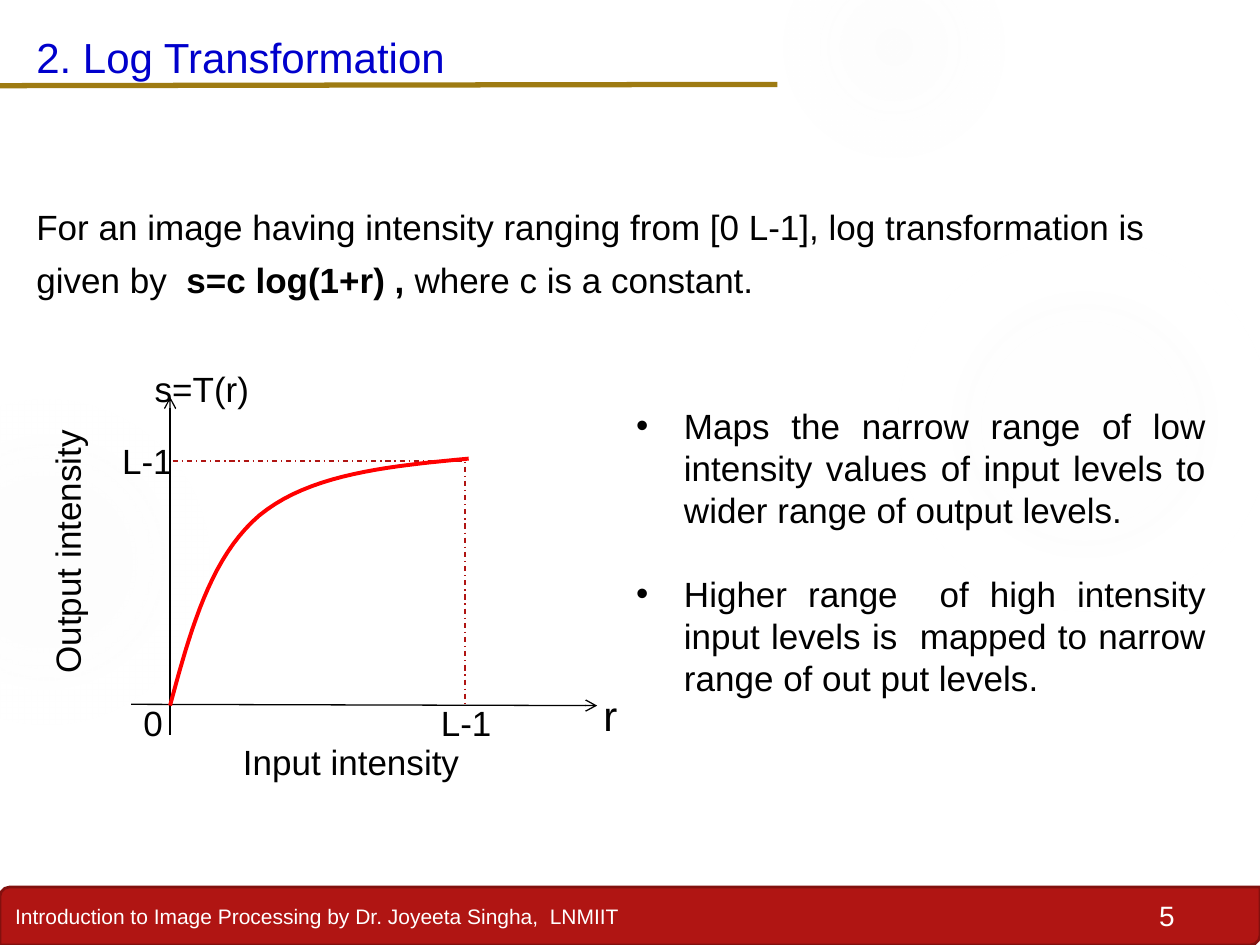
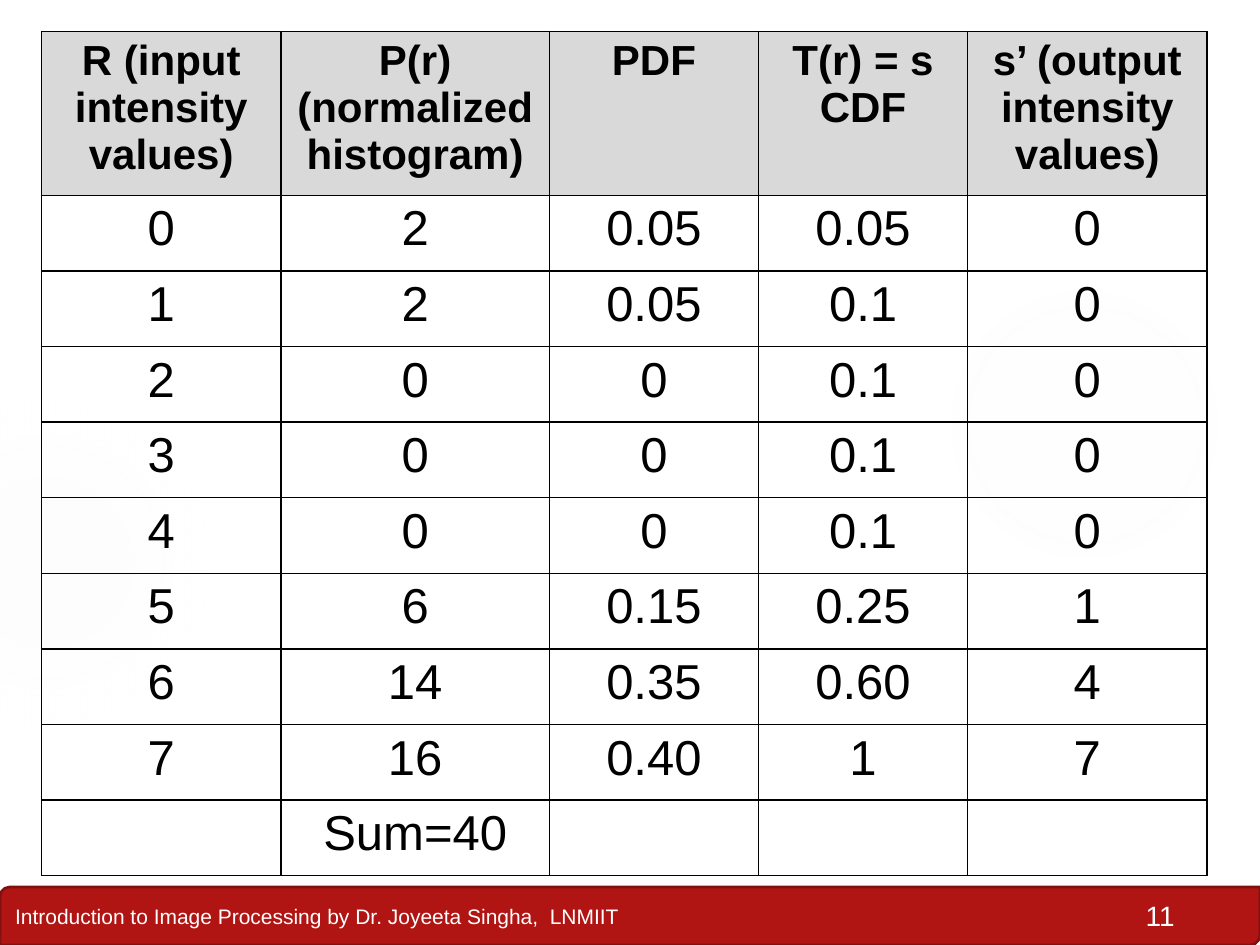
from lxml import etree
from pptx import Presentation
from pptx.dml.color import RGBColor
from pptx.enum.dml import MSO_LINE
from pptx.enum.shapes import MSO_CONNECTOR, MSO_SHAPE
from pptx.enum.text import MSO_ANCHOR, PP_ALIGN
from pptx.oxml.ns import qn
from pptx.util import Inches, Pt

FONT = "Arial"
WHITE = RGBColor(0xFF, 0xFF, 0xFF)
BLACK = RGBColor(0x00, 0x00, 0x00)
BRICK = RGBColor(0xB0, 0x15, 0x13)
DARK_BRICK = RGBColor(0x82, 0x10, 0x0E)
GOLD = RGBColor(0x9E, 0x7B, 0x12)
TITLE_BLUE = RGBColor(0x00, 0x00, 0xCC)
CURVE_RED = RGBColor(0xFF, 0x00, 0x00)
HEADER_GREY = RGBColor(0xD9, 0xD9, 0xD9)
GLOW_GREY = RGBColor(0xF3, 0xF3, 0xF3)

LEFT, CENTER, RIGHT = PP_ALIGN.LEFT, PP_ALIGN.CENTER, PP_ALIGN.RIGHT
JUSTIFY = PP_ALIGN.JUSTIFY
MIDDLE = MSO_ANCHOR.MIDDLE
STRAIGHT = MSO_CONNECTOR.STRAIGHT
BAND, OVAL = MSO_SHAPE.ROUND_2_DIAG_RECTANGLE, MSO_SHAPE.OVAL
DASH_DOT = MSO_LINE.DASH_DOT

FOOTER = "Introduction to Image Processing by Dr. Joyeeta Singha,  LNMIIT"
SIDE_GLOWS = [
    (7.07, 1.83, 3.08, ((0, 7), (36, 6), (69, 0))),
    (-0.92, 3.17, 2.58, ((0, 8), (36, 8), (72, 0))),
]
TOP_GLOW = (6.22, -0.5, 1.75, ((0, 14), (36, 7), (73, 0)))

TITLE = "2. Log Transformation"
DEFINITION = [
    ("For an image having intensity ranging from [0 L-1], "
     "log transformation is given by  ", False),
    ("s=c log(1+r) , ", True),
    ("where c is a constant.", False),
]
REMARKS = [
    "Maps the narrow range of low intensity values of input levels to "
    "wider range of output levels.",
    "Higher range  of high intensity input levels is  mapped to narrow "
    "range of out put levels.",
]
PLOT_LABELS = [
    ("r", 4.69, 5.42, 0.31, 24, 0),
    ("0", 1.04, 5.52, 0.36, 20, 0),
    ("L-1", 3.4, 5.52, 0.61, 20, 0),
    ("L-1", 0.87, 3.44, 0.61, 20, 0),
    ("s=T(r)", 1.13, 2.87, 0.96, 20, 0),
    ("Input intensity", 1.83, 5.83, 2.01, 20, 0),
    ("Output intensity", -0.54, 4.15, 2.15, 20, 270),
]
AXES = [((1.35, 5.83), (1.35, 3.15)), ((1.04, 5.59), (4.74, 5.6))]
GUIDES = [(1.37, 3.66), (3.69, 3.66), (3.69, 5.61)]
LOG_CURVE = [
    ((1.35, 5.6), (1.51, 5.01), (1.67, 4.42), (2.06, 4.09)),
    ((2.06, 4.09), (2.46, 3.76), (3.09, 3.7), (3.72, 3.64)),
]
CURVE_STEPS = 20

COLUMN_WIDTHS = (1.9, 2.13, 1.66, 1.66, 1.9)
HEADER_HEIGHT, ROW_HEIGHT = 1.3, 0.6
HISTOGRAM = [
    ("R (input intensity values)", "P(r) (normalized histogram)", "PDF",
     "T(r) = s\nCDF", "s’ (output intensity values)"),
    ("0", "2", "0.05", "0.05", "0"),
    ("1", "2", "0.05", "0.1", "0"),
    ("2", "0", "0", "0.1", "0"),
    ("3", "0", "0", "0.1", "0"),
    ("4", "0", "0", "0.1", "0"),
    ("5", "6", "0.15", "0.25", "1"),
    ("6", "14", "0.35", "0.60", "4"),
    ("7", "16", "0.40", "1", "7"),
    ("", "Sum=40", "", "", ""),
]


def add_span(para, text, size, color=BLACK, bold=False):
    span = para.add_run()
    span.text = text
    span.font.name = FONT
    span.font.size = Pt(size)
    span.font.bold = bold
    span.font.color.rgb = color


def add_box(page, left, top, width, height, wrap=True):
    box = page.shapes.add_textbox(*map(Inches, (left, top, width, height)))
    box.text_frame.word_wrap = wrap
    return box


def add_label(page, text, left, top, width, height, size,
              color=BLACK, align=LEFT):
    box = add_box(page, left, top, width, height, wrap=False)
    para = box.text_frame.paragraphs[0]
    para.alignment = align
    add_span(para, text, size, color)
    return box


def set_line(shape, color, width):
    shape.line.color.rgb = color
    shape.line.width = Pt(width)


def add_line(page, start, end, color, width, arrow=False):
    line = page.shapes.add_connector(
        STRAIGHT, *map(Inches, (*start, *end)))
    set_line(line, color, width)
    properties = line.element.find(qn("p:spPr"))
    if arrow:
        outline = properties.find(qn("a:ln"))
        etree.SubElement(outline, qn("a:tailEnd"), type="arrow")
    etree.SubElement(properties, qn("a:effectLst"))


def add_outline(page, points, color, width):
    corners = [(Inches(x), Inches(y)) for x, y in points]
    builder = page.shapes.build_freeform(*corners[0])
    builder.add_line_segments(corners[1:], close=False)
    outline = builder.convert_to_shape()
    outline.shadow.inherit = False
    outline.fill.background()
    set_line(outline, color, width)
    return outline


def add_glow(page, left, top, size, stops):
    glow = page.shapes.add_shape(
        OVAL, *map(Inches, (left, top, size, size)))
    glow.shadow.inherit = False
    glow.line.fill.background()
    glow.fill.background()
    properties = glow.element.find(qn("p:spPr"))
    gradient = etree.Element(qn("a:gradFill"))
    stop_list = etree.SubElement(gradient, qn("a:gsLst"))
    for position, opacity in stops:
        stop = etree.SubElement(stop_list, qn("a:gs"), pos=str(position * 1000))
        tint = etree.SubElement(stop, qn("a:srgbClr"), val=str(GLOW_GREY))
        etree.SubElement(tint, qn("a:alpha"), val=str(opacity * 1000))
    circle = etree.SubElement(gradient, qn("a:path"), path="circle")
    etree.SubElement(circle, qn("a:fillToRect"),
                     {side: "50000" for side in "ltrb"})
    properties.replace(properties.find(qn("a:noFill")), gradient)


def add_page(deck, number, glows):
    page = deck.slides.add_slide(deck.slide_layouts[6])
    band = page.shapes.add_shape(BAND, *map(Inches, (0, 7.04, 10, 0.46)))
    band.shadow.inherit = False
    band.fill.solid()
    band.fill.fore_color.rgb = BRICK
    set_line(band, DARK_BRICK, 1.5)
    band.text_frame.vertical_anchor = MIDDLE
    para = band.text_frame.paragraphs[0]
    para.alignment = LEFT
    add_span(para, FOOTER, 12, WHITE)
    for glow in glows:
        add_glow(page, *glow)
    number_box = add_label(page, str(number), 8.67, 7.08, 0.75, 0.37, 16,
                           WHITE, RIGHT)
    number_box.text_frame.word_wrap = True
    return page


def curve_points():
    points = [LOG_CURVE[0][0]]
    for controls in LOG_CURVE:
        for step in range(1, CURVE_STEPS + 1):
            t = step / CURVE_STEPS
            weights = ((1 - t) ** 3, 3 * t * (1 - t) ** 2,
                       3 * t ** 2 * (1 - t), t ** 3)
            points.append(tuple(
                sum(w * c for w, c in zip(weights, axis))
                for axis in zip(*controls)))
    return points


def add_remarks(page):
    box = add_box(page, 4.95, 3.16, 4.72, 2.46)
    for index, remark in enumerate(REMARKS):
        frame = box.text_frame
        para = frame.add_paragraph() if index else frame.paragraphs[0]
        para.alignment = JUSTIFY
        para.line_spacing = Pt(24)
        if index:
            para.space_before = Pt(24)
        add_span(para, remark, 20)
        properties = para._p.get_or_add_pPr()
        properties.set("marL", str(Inches(0.38)))
        properties.set("indent", str(-Inches(0.38)))
        etree.SubElement(properties, qn("a:buFont"), typeface=FONT)
        etree.SubElement(properties, qn("a:buChar"), char="•")


def build_log_page(deck):
    page = add_page(deck, 5, SIDE_GLOWS + [TOP_GLOW])
    add_line(page, (-0.02, 0.68), (6.17, 0.67), GOLD, 3)
    add_label(page, TITLE, 0.19, 0.2, 3.57, 0.5, 24, TITLE_BLUE)
    definition = add_box(page, 0.19, 1.5, 9.72, 0.94)
    para = definition.text_frame.paragraphs[0]
    para.line_spacing = Pt(30)
    for text, bold in DEFINITION:
        add_span(para, text, 20, bold=bold)
    for start, end in AXES:
        add_line(page, start, end, BLACK, 0.75, arrow=True)
    for text, left, top, width, size, rotation in PLOT_LABELS:
        height = 0.5 if size == 24 else 0.44
        label = add_label(page, text, left, top, width, height, size)
        label.rotation = rotation
    guides = add_outline(page, GUIDES, BRICK, 0.75)
    guides.line.dash_style = DASH_DOT
    add_outline(page, curve_points(), CURVE_RED, 2.25)
    add_remarks(page)


def add_borders(cell):
    properties = cell._tc.get_or_add_tcPr()
    for index, side in enumerate(("lnL", "lnR", "lnT", "lnB")):
        border = etree.Element(qn("a:" + side), w=str(Pt(1)))
        fill = etree.SubElement(border, qn("a:solidFill"))
        etree.SubElement(fill, qn("a:srgbClr"), val=str(BLACK))
        properties.insert(index, border)


def fill_cell(cell, text, header):
    if header:
        cell.fill.solid()
        cell.fill.fore_color.rgb = HEADER_GREY
    else:
        cell.fill.background()
    add_borders(cell)
    for index, line in enumerate(text.split("\n") if text else []):
        frame = cell.text_frame
        para = frame.add_paragraph() if index else frame.paragraphs[0]
        para.alignment = CENTER
        add_span(para, line, 24 if header else 28, bold=header)


def build_histogram_page(deck):
    page = add_page(deck, 11, SIDE_GLOWS)
    height = HEADER_HEIGHT + ROW_HEIGHT * (len(HISTOGRAM) - 1)
    table = page.shapes.add_table(
        len(HISTOGRAM), len(COLUMN_WIDTHS),
        *map(Inches, (0.33, 0.25, sum(COLUMN_WIDTHS), height))).table
    table.first_row = False
    table.horz_banding = False
    for column, width in zip(table.columns, COLUMN_WIDTHS):
        column.width = Inches(width)
    for index, values in enumerate(HISTOGRAM):
        header = index == 0
        table.rows[index].height = Inches(
            HEADER_HEIGHT if header else ROW_HEIGHT)
        for cell, text in zip(table.rows[index].cells, values):
            fill_cell(cell, text, header)


def main():
    deck = Presentation()
    deck.slide_width, deck.slide_height = Inches(10), Inches(7.5)
    build_log_page(deck)
    build_histogram_page(deck)
    deck.save("out.pptx")


if __name__ == "__main__":
    main()
